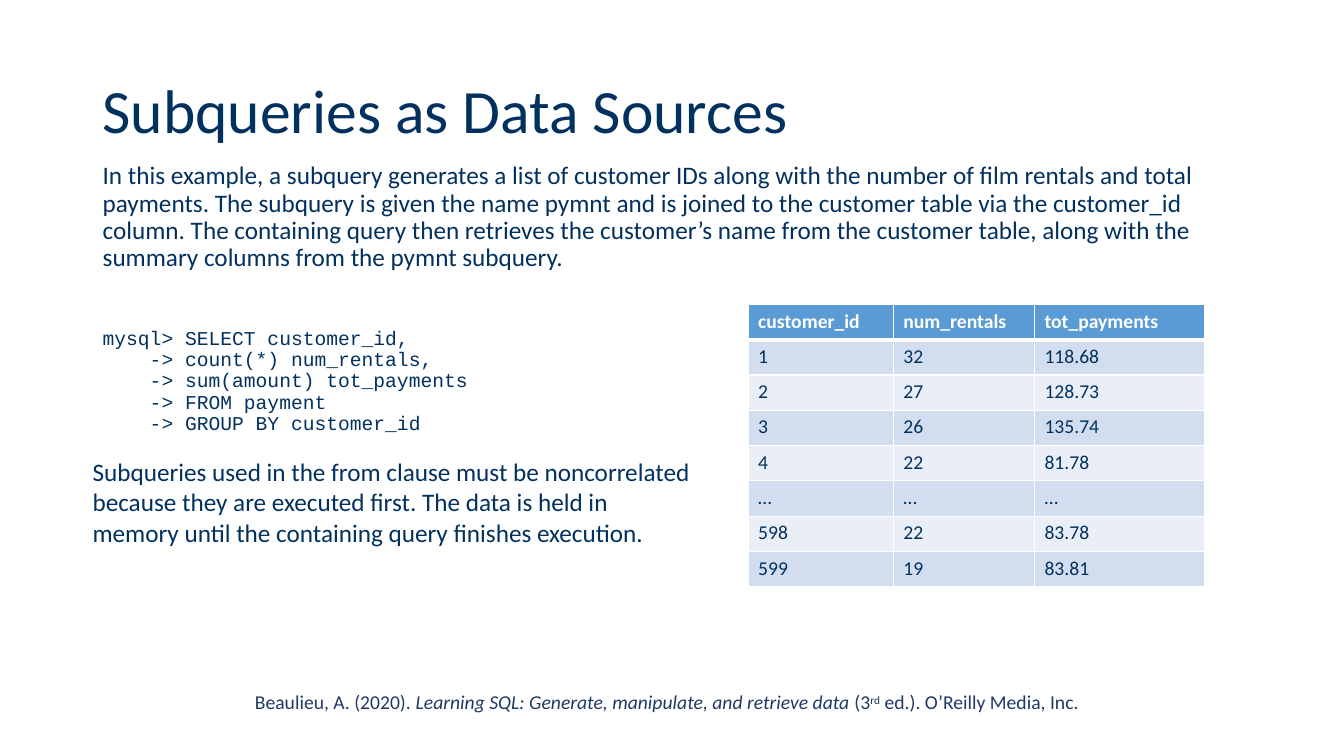
from lxml.etree import SubElement as Sub
from pptx import Presentation as Deck
from pptx.dml.color import RGBColor as RGB
from pptx.enum.text import MSO_ANCHOR as Anchor
from pptx.oxml.ns import qn
from pptx.util import Inches, Pt

NAVY = RGB(0x02, 0x31, 0x60)
INDIGO = RGB(0x20, 0x38, 0x64)
WHITE = RGB(0xFF, 0xFF, 0xFF)
BLUE = RGB(0x5B, 0x9B, 0xD5)
BANDS = [RGB(0xEA, 0xEF, 0xF7), RGB(0xD2, 0xDE, 0xEF)]

TITLE = "Subqueries as Data Sources"
INTRO = (
    "In this example, a subquery generates a list of customer IDs along with "
    "the number of film rentals and total payments. The subquery is given the "
    "name pymnt and is joined to the customer table via the customer_id column. "
    "The containing query then retrieves the customer’s name from the customer "
    "table, along with the summary columns from the pymnt subquery."
)
CODE = """mysql> SELECT customer_id,
    -> count(*) num_rentals,
    -> sum(amount) tot_payments
    -> FROM payment
    -> GROUP BY customer_id"""
NOTE = (
    "Subqueries used in the from clause must be noncorrelated because they are "
    "executed first. The data is held in memory until the containing query "
    "finishes execution."
)
CITE = [
    ("Beaulieu, A. (2020). ", {}),
    ("Learning SQL: Generate, manipulate, and retrieve data", {"italic": True}),
    (" (3", {}),
    ("rd", {"raised": True}),
    (" ed.). O’Reilly Media, Inc.", {}),
]
COLS = [1.44, 1.4, 1.69]
ROWS = [
    ("customer_id", "num_rentals", "tot_payments"),
    ("1", "32", "118.68"),
    ("2", "27", "128.73"),
    ("3", "26", "135.74"),
    ("4", "22", "81.78"),
    ("…", "…", "…"),
    ("598", "22", "83.78"),
    ("599", "19", "83.81"),
]


def add_run(para, text, size, color=NAVY, name="Calibri", raised=False, **extra):
    """Add one formatted run to a paragraph."""
    run = para.add_run()
    run.text = text
    run.font.color.rgb = color
    for key, val in {"size": Pt(size), "name": name, **extra}.items():
        setattr(run.font, key, val)
    if raised:
        run.font._element.set("baseline", "30000")


def add_box(slide, left, top, width, height, anchor=Anchor.TOP):
    """Add a wrapping text box and return its frame."""
    box = slide.shapes.add_textbox(*map(Inches, (left, top, width, height)))
    frame = box.text_frame
    frame.word_wrap = True
    frame.vertical_anchor = anchor
    return frame


def add_code(frame, code):
    """Add a code listing as one paragraph with line breaks."""
    para = frame.add_paragraph()
    for key, val in {"space_before": Pt(40), "line_spacing": Pt(15.2)}.items():
        setattr(para, key, val)
    for i, line in enumerate(code.splitlines()):
        if i:
            para.add_line_break()
        add_run(para, line, 14, name="Courier New")


def add_edges(cell, row):
    """Draw white cell borders, thicker below the header."""
    props = cell._tc.get_or_add_tcPr()
    thick = {"T": row == 1, "B": row == 0}
    for side in "LRTB":
        width = Pt(3 if thick.get(side) else 1)
        edge = Sub(props, qn(f"a:ln{side}"), w=str(width))
        Sub(Sub(edge, qn("a:solidFill")), qn("a:srgbClr"), val=str(WHITE))


def add_grid(slide, left, top, step):
    """Add the banded table of query results."""
    size = map(Inches, (left, top, sum(COLS), step * len(ROWS)))
    table = slide.shapes.add_table(len(ROWS), len(COLS), *size).table
    for col, width in zip(table.columns, COLS):
        col.width = Inches(width)
    for r, row in enumerate(ROWS):
        for c, text in enumerate(row):
            cell = table.cell(r, c)
            add_edges(cell, r)
            cell.fill.solid()
            cell.fill.fore_color.rgb = BANDS[r % 2] if r else BLUE
            para = cell.text_frame.paragraphs[0]
            add_run(para, text, 14, NAVY if r else WHITE, bold=r == 0)


def main():
    """Build the slide and save it."""
    deck = Deck()
    deck.slide_width, deck.slide_height = Inches(13.33), Inches(7.5)
    slide = deck.slides.add_slide(deck.slide_layouts[6])

    foot = add_box(slide, 2.43, 6.8, 8.46, 0.34).paragraphs[0]
    for text, form in CITE:
        add_run(foot, text, 14, INDIGO, **form)

    head = add_box(slide, 0.92, 0.4, 11.5, 1.45, Anchor.MIDDLE).paragraphs[0]
    head.line_spacing = 0.9
    add_run(head, TITLE, 44)

    body = add_box(slide, 0.92, 1.57, 11.5, 4.76)
    body.paragraphs[0].line_spacing = 0.9
    add_run(body.paragraphs[0], INTRO, 18)
    add_code(body, CODE)

    add_grid(slide, 7.42, 3.02, 0.35)
    note = add_box(slide, 0.82, 4.48, 6.13, 1.31)
    add_run(note.paragraphs[0], NOTE, 18)
    deck.save("out.pptx")


if __name__ == "__main__":
    main()
